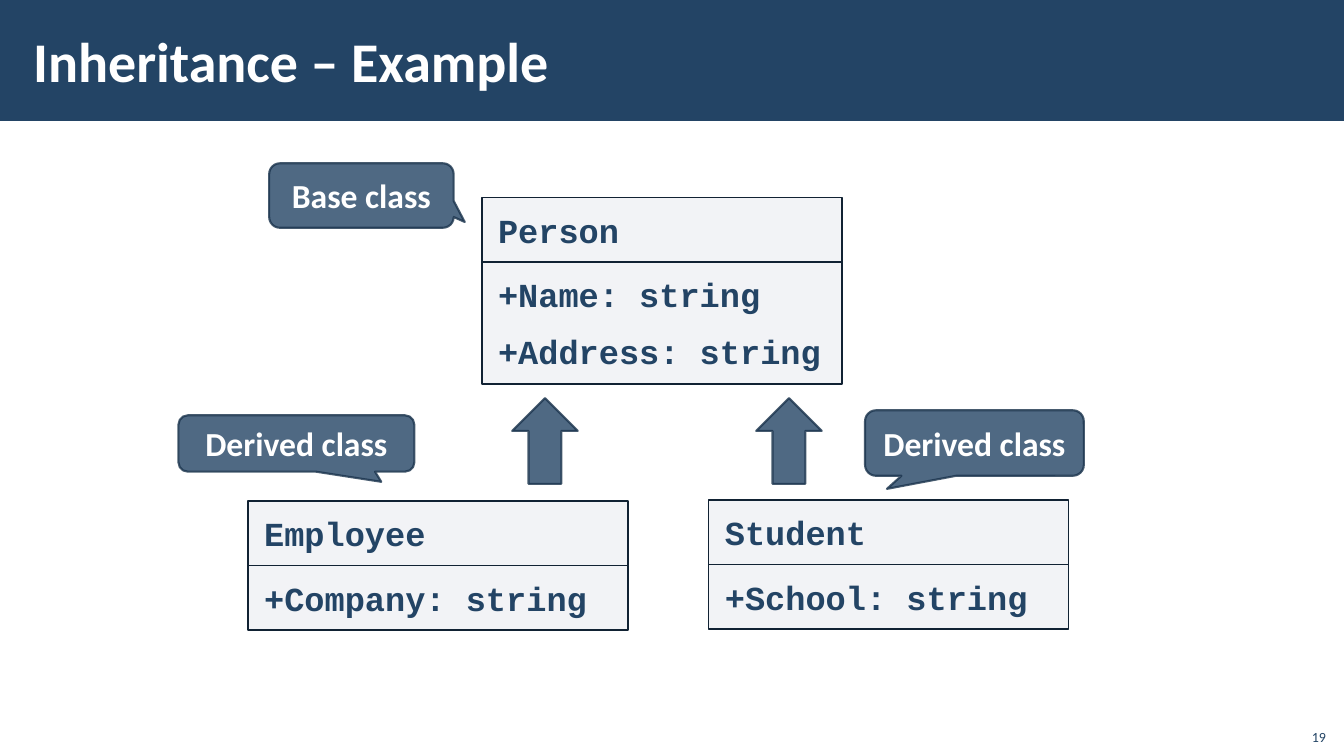
from lxml import etree
from pptx import Presentation
from pptx.dml.color import RGBColor
from pptx.enum.shapes import MSO_SHAPE
from pptx.enum.text import MSO_ANCHOR, MSO_AUTO_SIZE, PP_ALIGN
from pptx.oxml.ns import qn
from pptx.util import Inches, Pt

RECT = MSO_SHAPE.RECTANGLE
CALLOUT = MSO_SHAPE.ROUNDED_RECTANGULAR_CALLOUT
UP_ARROW = MSO_SHAPE.UP_ARROW
TOP, MIDDLE, BOTTOM = MSO_ANCHOR.TOP, MSO_ANCHOR.MIDDLE, MSO_ANCHOR.BOTTOM
LEFT, CENTER, RIGHT = PP_ALIGN.LEFT, PP_ALIGN.CENTER, PP_ALIGN.RIGHT
FIT_SHAPE = MSO_AUTO_SIZE.SHAPE_TO_FIT_TEXT

COLORS = {
    "navy": "234465",
    "white": "FFFFFF",
    "box": "ADB4C3",
    "box_line": "112233",
    "callout_line": "1A334C",
}
BODY_FONT, CODE_FONT = "Calibri", "Courier New"
HEADER_H = 0.64


def rgb(name):
    return RGBColor.from_string(COLORS[name])


def set_alpha(shape, percent, tag):
    """Set the opacity of the fill (a:solidFill) or of the line (a:ln)."""
    parent = shape._element.spPr.find(qn(tag))
    color = next(parent.iter(qn("a:srgbClr")))
    etree.SubElement(color, qn("a:alpha")).set("val", str(percent * 1000))


def add_filled(slide, kind, box, fill, opacity=100, line=None, width=1):
    s = slide.shapes.add_shape(kind, *map(Inches, box))
    s.shadow.inherit = False
    s.fill.solid()
    s.fill.fore_color.rgb = rgb(fill)
    if opacity < 100:
        set_alpha(s, opacity, "a:solidFill")
    if line:
        s.line.color.rgb = rgb(line)
        s.line.width = Pt(width)
    else:
        s.line.fill.background()
    return s


def write(s, lines, size, color, font=BODY_FONT, bold=True, align=LEFT,
          anchor=MIDDLE, insets=(0.1, 0.05), space=0):
    tf = s.text_frame
    tf.word_wrap = True
    tf.vertical_anchor = anchor
    tf.margin_left = tf.margin_right = Inches(insets[0])
    tf.margin_top = tf.margin_bottom = Inches(insets[1])
    tf.text = "\n".join(lines)
    for p in tf.paragraphs:
        p.alignment = align
        p.space_before = p.space_after = Pt(space)
        for r in p.runs:
            r.font.name = font
            r.font.size = Pt(size)
            r.font.bold = bold
            r.font.color.rgb = rgb(color)


def add_text(slide, box, text, size, color, **style):
    write(slide.shapes.add_textbox(*map(Inches, box)), [text], size, color, **style)


def add_class(slide, x, y, w, name, members, members_h=HEADER_H):
    """Draw a class box: a name row above a row of members."""
    rows = [(y, HEADER_H, [name]), (y + HEADER_H, members_h, members)]
    for top, height, lines in rows:
        s = add_filled(slide, RECT, (x, top, w, height), "box", 15, "box_line")
        write(s, lines, 24, "navy", CODE_FONT, anchor=TOP,
              insets=(0.16, 0.12), space=6)
        s.text_frame.auto_size = FIT_SHAPE


def add_dark_shape(slide, kind, box):
    s = add_filled(slide, kind, box, "navy", 80, "callout_line", 1.5)
    set_alpha(s, 80, "a:ln")
    return s


def add_callout(slide, box, text, tip):
    s = add_dark_shape(slide, CALLOUT, box)
    s.adjustments[0], s.adjustments[1] = tip
    write(s, [text], 24, "white", align=CENTER)
    s.text_frame.auto_size = FIT_SHAPE


def main():
    prs = Presentation()
    prs.slide_width, prs.slide_height = Inches(13.33), Inches(7.5)
    slide = prs.slides.add_slide(prs.slide_layouts[6])

    # Title band
    add_filled(slide, RECT, (0, 0, 13.33, 1.2), "navy")
    add_text(slide, (0.21, 0.11, 10.63, 0.97), "Inheritance – Example", 40,
             "white", insets=(0.12, 0.04))

    # Classes
    add_class(slide, 4.78, 1.96, 3.57, "Person",
              ["+Name: string", "+Address: string"], 1.21)
    add_class(slide, 2.46, 4.97, 3.77, "Employee", ["+Company: string"])
    add_class(slide, 7.03, 4.96, 3.57, "Student", ["+School: string"])

    # Callouts
    add_callout(slide, (1.77, 4.12, 2.34, 0.56), "Derived class", (0.36, 0.68))
    add_callout(slide, (8.58, 4.07, 2.17, 0.65), "Derived class", (-0.4, 0.7))
    add_callout(slide, (2.67, 1.62, 1.83, 0.64), "Base class", (0.56, 0.41))

    # Inheritance arrows
    for x in (5.08, 7.5):
        add_dark_shape(slide, UP_ARROW, (x, 3.95, 0.65, 0.85))

    # Slide number
    add_text(slide, (12.85, 7.12, 0.4, 0.32), "19", 10, "navy", bold=False,
             align=RIGHT, anchor=BOTTOM)

    prs.save("out.pptx")


if __name__ == "__main__":
    main()
